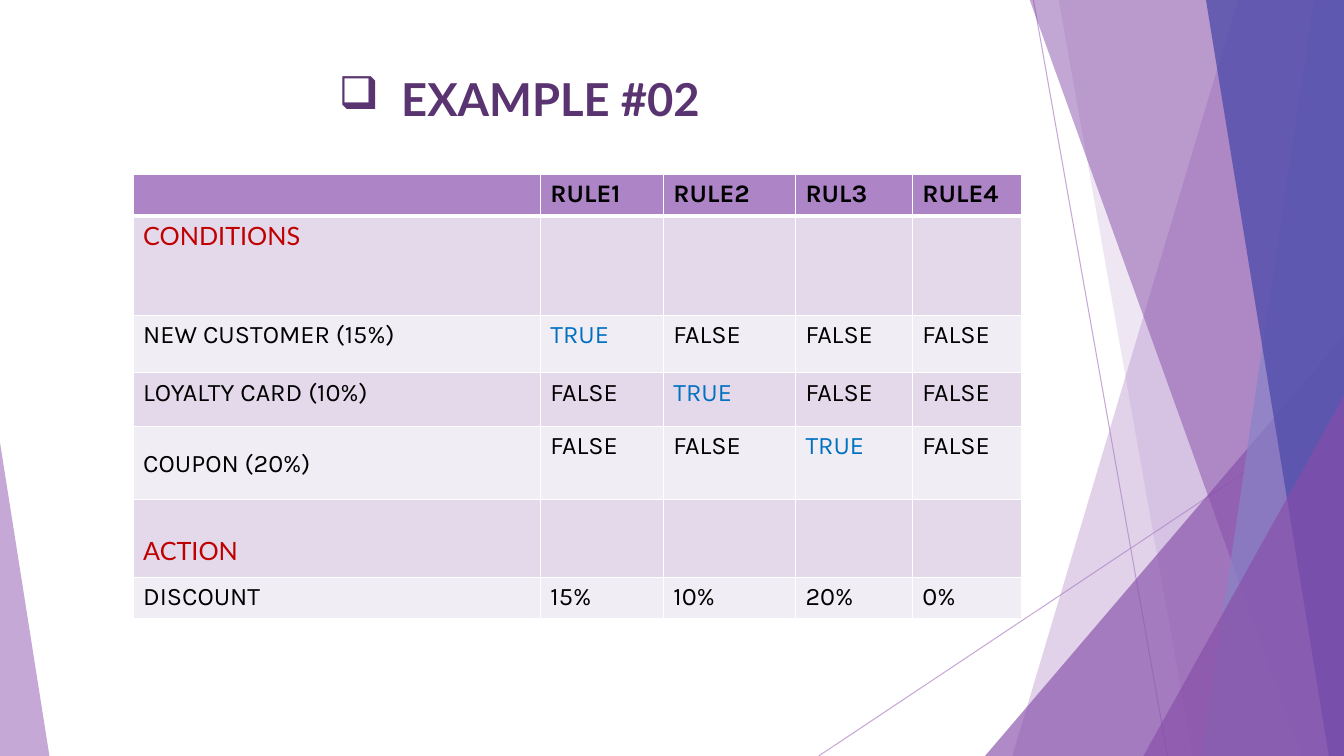
from dataclasses import dataclass

from lxml.etree import SubElement
from pptx import Presentation
from pptx.dml.color import RGBColor
from pptx.enum.shapes import MSO_CONNECTOR, MSO_SHAPE
from pptx.enum.text import MSO_ANCHOR, PP_ALIGN
from pptx.oxml.ns import qn
from pptx.util import Pt

PX = 9144  # EMU per px, 100 px to the inch
WIDTH, HEIGHT = 1333, 750


@dataclass(frozen=True)
class Theme:
    lilac: str = "AD84C6"
    purple: str = "874EA9"
    lavender: str = "8784C7"
    indigo: str = "524EAB"
    title: str = "5A3471"
    band_dark: str = "E3D9EA"
    band_light: str = "F1EDF5"
    text: str = "000000"
    section: str = "C00000"
    true: str = "0070C0"
    white: str = "FFFFFF"
    heading_font: str = "Lato"
    body_font: str = "Karla"
    title_size: float = 32.4
    body_size: float = 18


THEME = Theme()


@dataclass(frozen=True)
class Ray:
    start: tuple[int, int]
    end: tuple[int, int]


@dataclass(frozen=True)
class Facet:
    """A panel reaching the right edge, with a slanted left side."""
    top_x: int
    bottom_x: int
    color: str
    alpha: int


@dataclass(frozen=True)
class Wedge:
    """A right triangle standing on the bottom edge."""
    left: int
    top: int
    width: int
    apex: float
    color: str
    alpha: int


@dataclass(frozen=True)
class Row:
    height: int
    label: str
    values: tuple[str, ...] = ("",) * 4
    section: bool = False
    label_drop: int = 0


DECOR = (
    Ray((1025, 0), (1158, 750)),
    Ray((1333, 403), (812, 750)),
    Facet(1228, 1004, THEME.lilac, 36),
    Facet(1050, 1183, THEME.lilac, 20),
    Wedge(977, 333, 356, 1, THEME.purple, 66),
    Facet(1021, 1291, THEME.purple, 50),
    Facet(1303, 1192, THEME.lavender, 70),
    Facet(1196, 1318, THEME.indigo, 80),
    Wedge(1134, 393, 199, 1, THEME.purple, 66),
    Wedge(0, 439, 49, 0, THEME.lilac, 70),
)
COLUMNS = (404, 122, 131, 116, 108)
ROWS = (
    Row(41, "", ("RULE1", "RULE2", "RUL3", "RULE4")),
    Row(99, "CONDITIONS", section=True),
    Row(57, "NEW CUSTOMER (15%)", ("TRUE", "FALSE", "FALSE", "FALSE")),
    Row(53, "LOYALTY CARD (10%)", ("FALSE", "TRUE", "FALSE", "FALSE")),
    Row(73, "COUPON (20%)", ("FALSE", "FALSE", "TRUE", "FALSE"), label_drop=18),
    Row(77, "ACTION", section=True, label_drop=30),
    Row(41, "DISCOUNT", ("15%", "10%", "20%", "0%")),
)


def px(*lengths: int) -> list[int]:
    return [length * PX for length in lengths]


def rgb(color: str) -> RGBColor:
    return RGBColor.from_string(color)


def set_alpha(shape, percent: int) -> None:
    color = next(shape._element.spPr.iter(qn("a:srgbClr")))
    SubElement(color, qn("a:alpha"), val=str(percent * 1000))


def paint(shape, color: str, alpha: int) -> None:
    shape.shadow.inherit = False
    shape.line.fill.background()
    shape.fill.solid()
    shape.fill.fore_color.rgb = rgb(color)
    set_alpha(shape, alpha)


def add_ray(s, ray: Ray) -> None:
    line = s.shapes.add_connector(MSO_CONNECTOR.STRAIGHT, *px(*ray.start, *ray.end))
    line.line.color.rgb = rgb(THEME.lilac)
    line.line.width = Pt(0.75)
    set_alpha(line, 70)
    SubElement(line._element.spPr, qn("a:effectLst"))


def add_facet(s, facet: Facet) -> None:
    builder = s.shapes.build_freeform(facet.top_x, -1, scale=PX)
    builder.add_line_segments([(WIDTH, -1), (WIDTH, HEIGHT), (facet.bottom_x, HEIGHT)])
    paint(builder.convert_to_shape(), facet.color, facet.alpha)


def add_wedge(s, wedge: Wedge) -> None:
    sp = s.shapes.add_shape(
        MSO_SHAPE.ISOSCELES_TRIANGLE,
        *px(wedge.left, wedge.top, wedge.width, HEIGHT - wedge.top))
    sp.adjustments[0] = wedge.apex
    paint(sp, wedge.color, wedge.alpha)


def style_run(r, font: str, size: float, color: str, bold: bool) -> None:
    r.font.name, r.font.size, r.font.bold = font, Pt(size), bold
    r.font.color.rgb = rgb(color)


def add_title(s) -> None:
    tf = s.shapes.add_textbox(*px(74, 67, 882, 61)).text_frame
    tf.word_wrap = True
    tf.vertical_anchor = MSO_ANCHOR.MIDDLE
    p = tf.paragraphs[0]
    p.text = "EXAMPLE #02"
    p.alignment = PP_ALIGN.CENTER
    style_run(p.runs[0], THEME.heading_font, THEME.title_size, THEME.title, True)
    pPr = p._p.get_or_add_pPr()
    indent = 62 * PX
    pPr.set("marL", str(indent))
    pPr.set("indent", str(-indent))
    SubElement(pPr, qn("a:buChar"), char="❑")


def set_borders(cell, top: int, bottom: int) -> None:
    tcPr = cell._tc.get_or_add_tcPr()
    for side, width in (("L", 1), ("R", 1), ("T", top), ("B", bottom)):
        ln = SubElement(tcPr, qn(f"a:ln{side}"), w=str(Pt(width)))
        fill = SubElement(ln, qn("a:solidFill"))
        SubElement(fill, qn("a:srgbClr"), val=THEME.white)


def fill_cell(cell, text: str, row: Row, index: int) -> None:
    header = index == 0
    set_borders(cell, top=3 if index == 1 else 1, bottom=3 if header else 1)
    band = THEME.band_dark if index % 2 else THEME.band_light
    cell.fill.solid()
    cell.fill.fore_color.rgb = rgb(THEME.lilac if header else band)
    if not text:
        return
    font = THEME.heading_font if row.section else THEME.body_font
    color = THEME.section if row.section else THEME.true if text == "TRUE" else THEME.text
    p = cell.text_frame.paragraphs[0]
    p.text = text
    style_run(p.runs[0], font, THEME.body_size, color, header)


def add_rules_table(s) -> None:
    height = sum(row.height for row in ROWS)
    table = s.shapes.add_table(
        len(ROWS), len(COLUMNS), *px(132, 173, sum(COLUMNS), height)).table
    for column, width in zip(table.columns, COLUMNS):
        column.width = width * PX
    for i, row in enumerate(ROWS):
        table.rows[i].height = row.height * PX
        for j, text in enumerate((row.label, *row.values)):
            fill_cell(table.cell(i, j), text, row, i)
        table.cell(i, 0).margin_top = (5 + row.label_drop) * PX


def main() -> None:
    prs = Presentation()
    prs.slide_width, prs.slide_height = px(WIDTH, HEIGHT)
    s = prs.slides.add_slide(prs.slide_layouts[6])
    painters = {Ray: add_ray, Facet: add_facet, Wedge: add_wedge}
    for item in DECOR:
        painters[type(item)](s, item)
    add_title(s)
    add_rules_table(s)
    prs.save("out.pptx")


if __name__ == "__main__":
    main()
